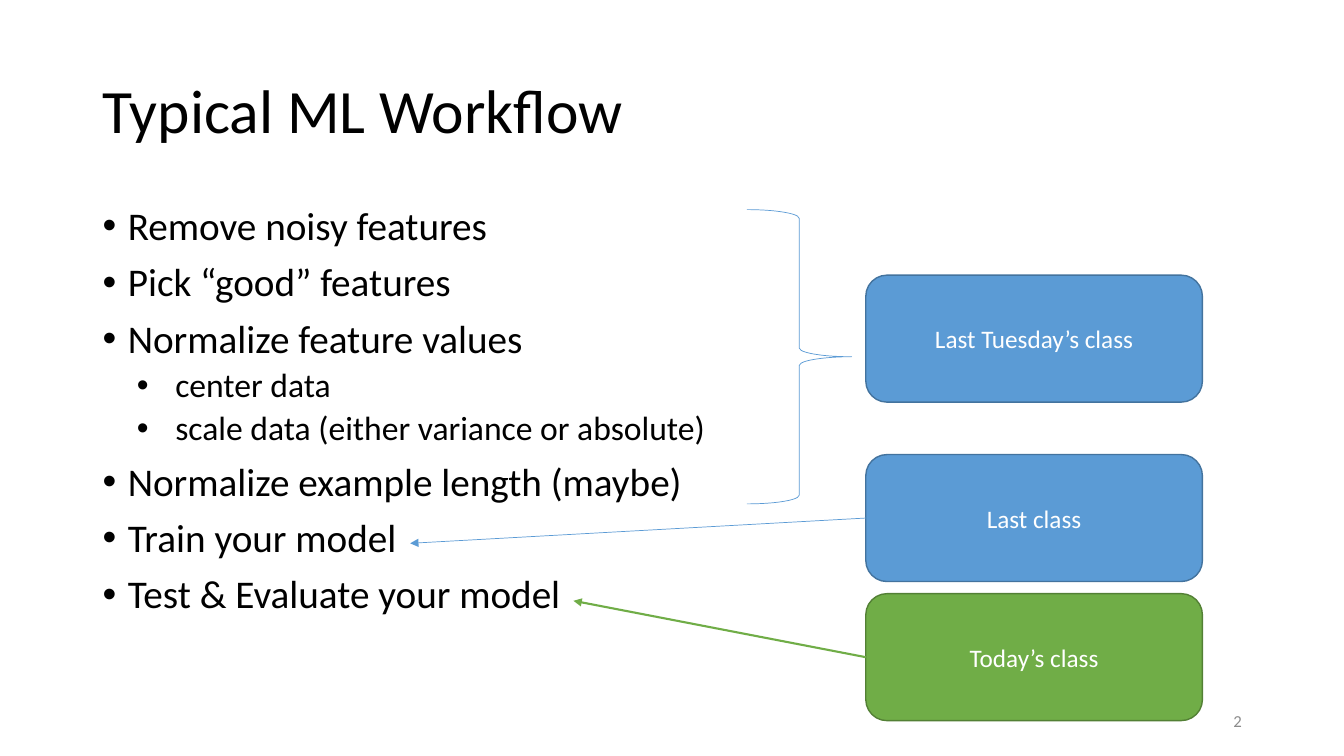
from dataclasses import dataclass

from pptx import Presentation
from pptx.dml.color import RGBColor
from pptx.enum.shapes import MSO_CONNECTOR as Connector, MSO_SHAPE as Shape
from pptx.enum.text import MSO_ANCHOR as Anchor, PP_ALIGN as Align
from pptx.oxml.ns import qn
from pptx.oxml.xmlchemy import OxmlElement
from pptx.util import Emu, Inches, Pt

BLACK = RGBColor(0x00, 0x00, 0x00)
WHITE = RGBColor(0xFF, 0xFF, 0xFF)
GRAY = RGBColor(0x8C, 0x8C, 0x8C)
BLUE = RGBColor(0x5B, 0x9B, 0xD5)
DARK_BLUE = RGBColor(0x43, 0x73, 0x9E)
GREEN = RGBColor(0x70, 0xAD, 0x47)
DARK_GREEN = RGBColor(0x53, 0x80, 0x35)

FONT = "Calibri"
WIDTH, HEIGHT = Inches(13.333), Inches(7.5)

# Positions and sizes are percentages of the slide's width and height
TEXT_LEFT, TEXT_WIDTH = 6.9, 86.25
CARD_LEFT, CARD_WIDTH, CARD_HEIGHT = 64.42, 25.05, 16.8


@dataclass(frozen=True)
class BulletLevel:
    size: int
    margin: float
    hanging: float
    space_before: int


@dataclass(frozen=True)
class Step:
    text: str
    level: int = 0


@dataclass(frozen=True)
class ClassCard:
    text: str
    top: float
    fill: RGBColor
    outline: RGBColor
    arrow_tip: tuple[float, float] | None = None
    arrow_width: float = 0.5


LEVELS = [BulletLevel(28, 0.25, 0.25, 10), BulletLevel(24, 0.72, 0.38, 5)]

STEPS = [
    Step("Remove noisy features"),
    Step("Pick “good” features"),
    Step("Normalize feature values"),
    Step("center data", 1),
    Step("scale data (either variance or absolute)", 1),
    Step("Normalize example length (maybe)"),
    Step("Train your model"),
    Step("Test & Evaluate your model"),
]

CARDS = [
    ClassCard("Last Tuesday’s class", 36.4, BLUE, DARK_BLUE),
    ClassCard("Last class", 60.13, BLUE, DARK_BLUE, (30.52, 71.87)),
    ClassCard("Today’s class", 78.53, GREEN, DARK_GREEN, (42.67, 79.47), 1.5),
]


def across(percent: float) -> Emu:
    return Emu(round(WIDTH * percent / 100))


def down(percent: float) -> Emu:
    return Emu(round(HEIGHT * percent / 100))


def area(left: float, top: float, width: float, height: float) -> tuple:
    return across(left), down(top), across(width), down(height)


def apply_format(target, values: dict) -> None:
    for name, value in values.items():
        setattr(target, name, value)


def write(paragraph, text: str, size: int, color: RGBColor, **layout) -> None:
    run = paragraph.add_run()
    run.text = text
    apply_format(run.font, {"name": FONT, "size": Pt(size)})
    run.font.color.rgb = color
    apply_format(paragraph, layout)


def add_text_frame(slide, box: tuple, anchor: Anchor):
    frame = slide.shapes.add_textbox(*box).text_frame
    apply_format(frame, {"word_wrap": True, "vertical_anchor": anchor})
    return frame


def add_bullet(paragraph, level: BulletLevel) -> None:
    properties = paragraph._p.get_or_add_pPr()
    properties.set("marL", str(Inches(level.margin)))
    properties.set("indent", str(-Inches(level.hanging)))
    for tag, key, value in (("a:buFont", "typeface", "Arial"), ("a:buChar", "char", "•")):
        element = OxmlElement(tag)
        element.set(key, value)
        properties.append(element)


def add_steps(slide) -> None:
    frame = add_text_frame(slide, area(TEXT_LEFT, 26.67, TEXT_WIDTH, 63.47), Anchor.TOP)
    for index, step in enumerate(STEPS):
        paragraph = frame.add_paragraph() if index else frame.paragraphs[0]
        level = LEVELS[step.level]
        write(paragraph, step.text, level.size, BLACK, level=step.level,
              line_spacing=0.9, space_before=Pt(level.space_before))
        add_bullet(paragraph, level)


def add_card(slide, card: ClassCard) -> None:
    box = area(CARD_LEFT, card.top, CARD_WIDTH, CARD_HEIGHT)
    shape = slide.shapes.add_shape(Shape.ROUNDED_RECTANGLE, *box)
    shape.shadow.inherit = False
    shape.fill.solid()
    shape.fill.fore_color.rgb = card.fill
    shape.line.color.rgb = card.outline
    shape.line.width = Pt(1)
    apply_format(shape.text_frame, {"word_wrap": True, "vertical_anchor": Anchor.MIDDLE})
    write(shape.text_frame.paragraphs[0], card.text, 18, WHITE, alignment=Align.CENTER)


def add_arrow(slide, card: ClassCard) -> None:
    tip_x, tip_y = card.arrow_tip
    arrow = slide.shapes.add_connector(
        Connector.STRAIGHT, across(CARD_LEFT), down(card.top + CARD_HEIGHT / 2),
        across(tip_x), down(tip_y))
    arrow.line.color.rgb = card.fill
    arrow.line.width = Pt(card.arrow_width)
    properties = arrow._element.spPr
    head = OxmlElement("a:tailEnd")
    head.set("type", "triangle")
    properties.find(qn("a:ln")).append(head)
    properties.append(OxmlElement("a:effectLst"))


def add_brace(slide) -> None:
    brace = slide.shapes.add_shape(Shape.RIGHT_BRACE, *area(55.57, 27.73, 7.8, 38.93))
    brace.shadow.inherit = False
    brace.fill.background()
    brace.line.color.rgb = BLUE
    brace.line.width = Pt(0.5)


def main() -> None:
    presentation = Presentation()
    apply_format(presentation, {"slide_width": WIDTH, "slide_height": HEIGHT})
    slide = presentation.slides.add_slide(presentation.slide_layouts[6])

    # Title, workflow steps and page number
    title = add_text_frame(slide, area(TEXT_LEFT, 5.33, TEXT_WIDTH, 19.33), Anchor.MIDDLE)
    write(title.paragraphs[0], "Typical ML Workflow", 44, BLACK, line_spacing=0.9)
    add_steps(slide)
    number = add_text_frame(slide, area(70.65, 92.67, 22.5, 5.33), Anchor.MIDDLE)
    write(number.paragraphs[0], "2", 12, GRAY, alignment=Align.RIGHT)

    # Class cards, their arrows and the brace
    for card in CARDS:
        add_card(slide, card)
    for card in reversed(CARDS):
        if card.arrow_tip:
            add_arrow(slide, card)
    add_brace(slide)

    presentation.save("out.pptx")


if __name__ == "__main__":
    main()
